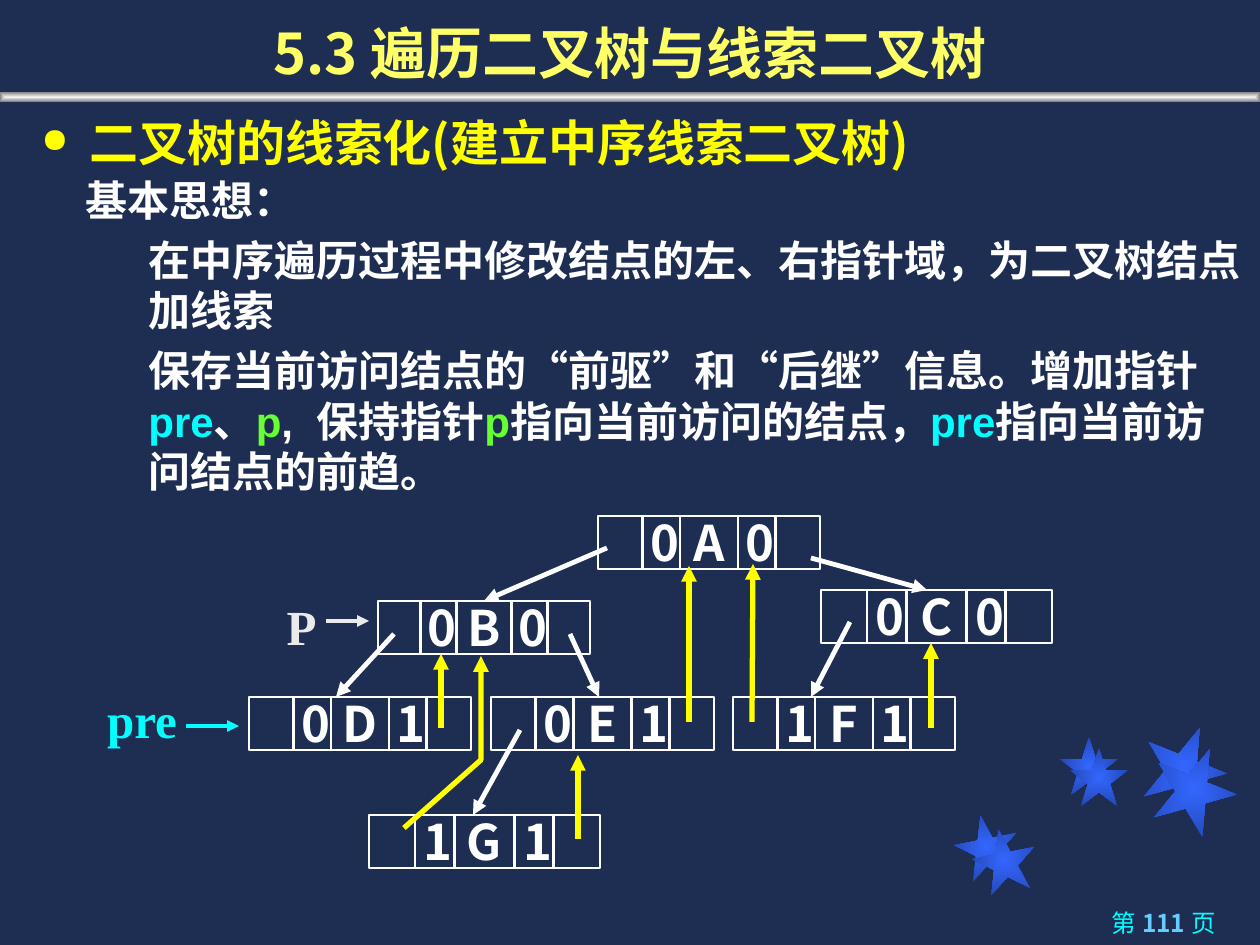
from dataclasses import dataclass
from lxml.etree import SubElement
from pptx import Presentation
from pptx.dml.color import RGBColor as RGB
from pptx.enum.shapes import MSO_CONNECTOR as LINK, MSO_SHAPE as SHAPE
from pptx.enum.text import MSO_ANCHOR as ANCHOR, PP_ALIGN as ALIGN
from pptx.oxml.ns import qn
from pptx.util import Pt


@dataclass(frozen=True)
class Theme:
    navy: str = "1E2E53"
    white: str = "FFFFFF"
    pale: str = "EAEAEA"
    yellow: str = "FFFF00"
    lemon: str = "FFFF66"
    cyan: str = "00FFFF"
    sky: str = "66CCFF"
    green: str = "66FF33"
    star: tuple = ("3366FF", "2449B6")
    bar: tuple = ("F2F2F2", "808080")
    cjk: str = "Noto Sans CJK SC"
    serif: str = "Times New Roman"
    sans: str = "Arial"
    title: int = 32
    heading: int = 28
    body: int = 24
    footer: int = 14


theme = Theme()
SCALE = 914400 / 126


def emu(*lengths):
    return [round(length * SCALE) for length in lengths]


def write(area, paragraphs, size, align=ALIGN.LEFT, anchor=ANCHOR.MIDDLE):
    box = slide.shapes.add_textbox(*emu(*area))
    frame = box.text_frame
    for name, value in {"word_wrap": True, "vertical_anchor": anchor}.items():
        setattr(frame, name, value)
    for index, runs in enumerate(paragraphs):
        paragraph = frame.add_paragraph() if index else frame.paragraphs[0]
        paragraph.alignment = align
        for words, face, color, bold in runs:
            run = paragraph.add_run()
            run.text = words
            run.font.color.rgb = RGB.from_string(color)
            for name, value in {"name": face, "size": Pt(size), "bold": bold}.items():
                setattr(run.font, name, value)
    for properties in box.element.iter(qn("a:rPr")):
        SubElement(properties, qn("a:ea"), {"typeface": theme.cjk})
    return box


deck = Presentation()
deck.slide_width, deck.slide_height = emu(1260, 945)
slide = deck.slides.add_slide(deck.slide_layouts[6])
slide.background.fill.solid()
slide.background.fill.fore_color.rgb = RGB.from_string(theme.navy)

ornaments = [
    (SHAPE.STAR_5_POINT, (955, 815, 63, 63), 349, theme.star),
    (SHAPE.STAR_5_POINT, (1060, 737, 58, 58), 0, theme.star),
    (SHAPE.STAR_5_POINT, (1142, 725, 84, 84), 22, theme.star),
    (SHAPE.STAR_5_POINT, (973, 829, 63, 63), 349, theme.star),
    (SHAPE.STAR_5_POINT, (1070, 748, 58, 58), 0, theme.star),
    (SHAPE.STAR_5_POINT, (1152, 746, 84, 84), 22, theme.star),
    (SHAPE.RECTANGLE, (0, 92, 1260, 10), 0, theme.bar),
]
for kind, area, turn, colors in ornaments:
    ornament = slide.shapes.add_shape(kind, *emu(*area))
    ornament.rotation = turn
    ornament.shadow.inherit = False
    ornament.line.fill.background()
    ornament.fill.gradient()
    for stop, color in zip(ornament.fill.gradient_stops, colors):
        stop.color.rgb = RGB.from_string(color)
    gradient = ornament.element.find(".//" + qn("a:gradFill"))
    gradient.remove(gradient.find(qn("a:lin")))
    focus = SubElement(gradient, qn("a:path"), {"path": "shape"})
    SubElement(focus, qn("a:fillToRect"), {side: "50000" for side in "ltrb"})

write((897, 900, 331, 45), [[
    ("第 ", theme.cjk, theme.cyan, False),
    ("111 ", theme.cjk, theme.sky, True),
    ("页", theme.cjk, theme.cyan, False),
]], theme.footer, ALIGN.RIGHT)
write((0, 5, 1260, 94), [[("5.3 遍历二叉树与线索二叉树", theme.cjk, theme.lemon, True)]],
      theme.title, ALIGN.CENTER)

heading = write((29, 107, 1197, 70),
                [[("二叉树的线索化(建立中序线索二叉树)", theme.cjk, theme.yellow, True)]],
                theme.heading)
bullet = heading.text_frame.paragraphs[0]._p.get_or_add_pPr()
hang = emu(48)[0]
for name, value in {"marL": hang, "indent": -hang}.items():
    bullet.set(name, str(value))
SubElement(SubElement(bullet, qn("a:buClr")), qn("a:srgbClr"), {"val": theme.yellow})
SubElement(bullet, qn("a:buSzPct"), {"val": "70000"})
SubElement(bullet, qn("a:buChar"), {"char": "●"})

idea = write((73, 168, 1182, 399), [
    [("基本思想：", theme.serif, theme.white, True)],
    [("在中序遍历过程中修改结点的左、右指针域，为二叉树结点加线索", theme.serif, theme.white, True)],
    [
        ("保存当前访问结点的“前驱”和“后继”信息。", theme.serif, theme.white, True),
        ("增加指针", theme.sans, theme.white, True),
        ("pre", theme.sans, theme.cyan, True),
        ("、", theme.sans, theme.white, True),
        ("p", theme.sans, theme.green, True),
        (",  保持指针", theme.sans, theme.white, True),
        ("p", theme.sans, theme.green, True),
        ("指向当前访问的结点，", theme.sans, theme.white, True),
        ("pre", theme.sans, theme.cyan, True),
        ("指向当前访问结点的前趋。", theme.sans, theme.white, True),
    ],
], theme.body, anchor=ANCHOR.TOP)
for index, paragraph in enumerate(idea.text_frame.paragraphs):
    paragraph.line_spacing = Pt(29)
    if index:
        paragraph.space_before = Pt(5)
        paragraph._p.get_or_add_pPr().set("marL", str(emu(63)[0]))

for pointer, area, color in [("P", (265, 590, 73, 72), theme.pale),
                             ("pre", (84, 683, 116, 72), theme.cyan)]:
    write(area, [[(pointer, theme.serif, color, True)]], theme.heading, ALIGN.CENTER)

NODE_HEIGHT = 53
DIVIDERS = (0.2, 0.37, 0.63, 0.8)
LABEL_CENTERS = (0.3, 0.5, 0.73)
nodes = [
    ("0A0", 598, 516, 222),
    ("0B0", 378, 601, 212),
    ("0C0", 821, 590, 231),
    ("0D1", 249, 697, 222),
    ("0E1", 491, 697, 223),
    ("1F1", 733, 697, 222),
    ("1G1", 369, 815, 231),
]
lines = []
cells = {}
for labels, left, top, width in nodes:
    node = slide.shapes.add_shape(SHAPE.RECTANGLE, *emu(left, top, width, NODE_HEIGHT))
    node.shadow.inherit = False
    node.fill.background()
    node.line.color.rgb = RGB.from_string(theme.white)
    node.line.width = Pt(1)
    cells[labels[1]] = node
    for share in DIVIDERS:
        x = left + share * width
        lines.append((x, top, x, top + NODE_HEIGHT, theme.white, 1.5, False, None))
    for label, share in zip(labels, LABEL_CENTERS):
        write((left + (share - 0.18) * width, top - 10, 0.36 * width, NODE_HEIGHT + 19),
              [[(label, theme.cjk, theme.white, True)]], theme.heading, ALIGN.CENTER)

lines += [
    (326, 621, 369, 621, theme.pale, 2.25, True, None),
    (186, 726, 239, 726, theme.cyan, 2.25, True, None),
    (607, 548, 481, 601, theme.white, 2.75, True, "B"),
    (811, 558, 927, 590, theme.white, 2.75, True, None),
    (394, 634, 336, 697, theme.white, 2.75, True, None),
    (570, 634, 599, 697, theme.white, 2.75, True, None),
    (850, 622, 811, 697, theme.white, 2.75, True, None),
    (520, 730, 473, 815, theme.white, 2.75, True, None),
    (441, 728, 441, 654, theme.yellow, 3, True, None),
    (931, 728, 931, 643, theme.yellow, 3, True, None),
    (752, 722, 753, 564, theme.yellow, 3, True, None),
    (689, 722, 689, 566, theme.yellow, 3, True, None),
    (578, 839, 578, 755, theme.yellow, 3, True, None),
]
for *ends, color, weight, arrow, child in lines:
    line = slide.shapes.add_connector(LINK.STRAIGHT, *emu(*ends))
    line.line.color.rgb = RGB.from_string(color)
    line.line.width = Pt(weight)
    if child:
        line.end_connect(cells[child], 0)
    if arrow:
        SubElement(line.element.find(".//" + qn("a:ln")), qn("a:tailEnd"), {"type": "triangle"})
    SubElement(line.element.spPr, qn("a:effectLst"))

route = slide.shapes.build_freeform(404, 828, scale=SCALE)
route.add_line_segments([(481, 760), (481, 656)], close=False)
thread = route.convert_to_shape()
thread.shadow.inherit = False
thread.fill.background()
thread.line.color.rgb = RGB.from_string(theme.yellow)
thread.line.width = Pt(3)
SubElement(thread.element.find(".//" + qn("a:ln")), qn("a:tailEnd"), {"type": "triangle"})

deck.save("out.pptx")
